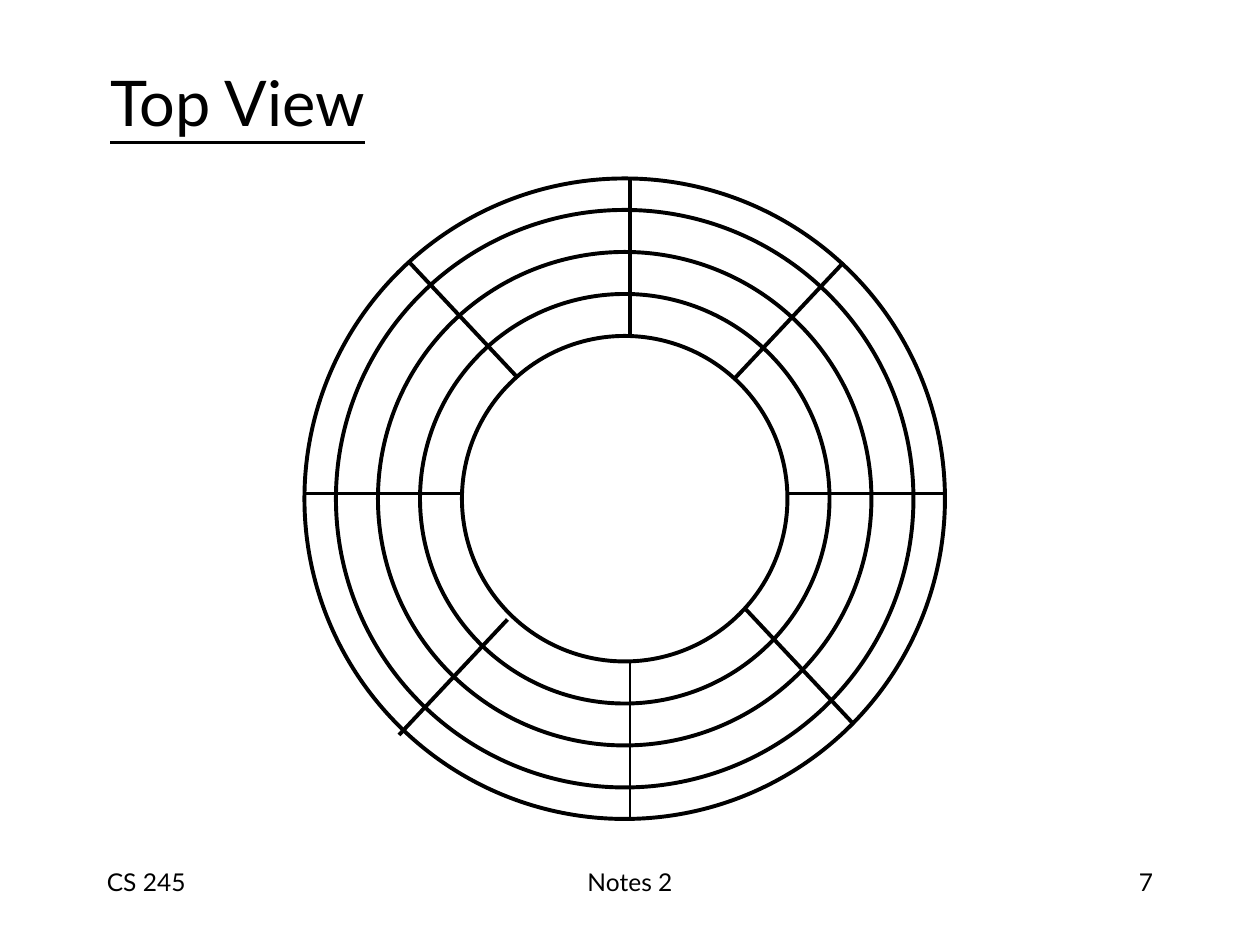
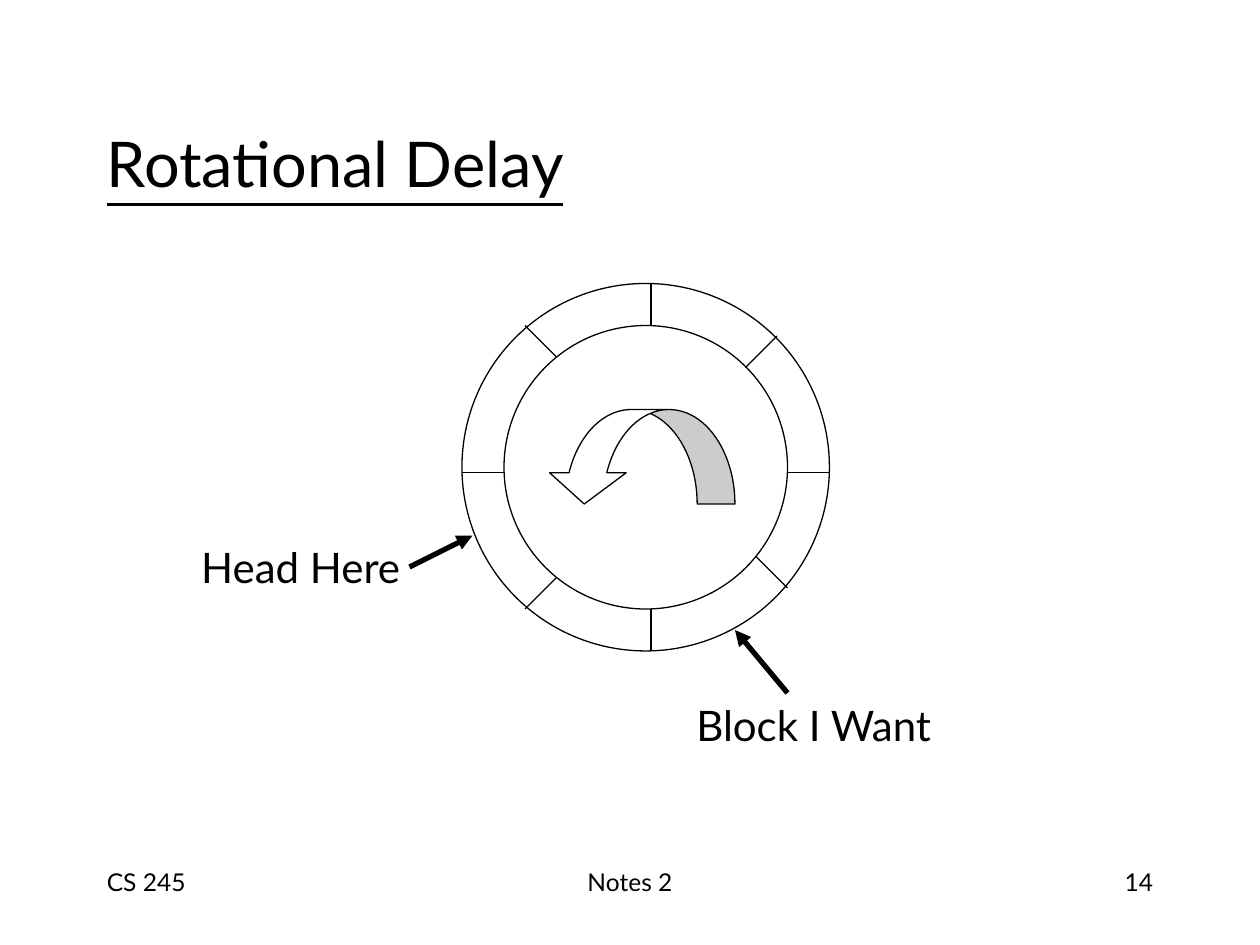
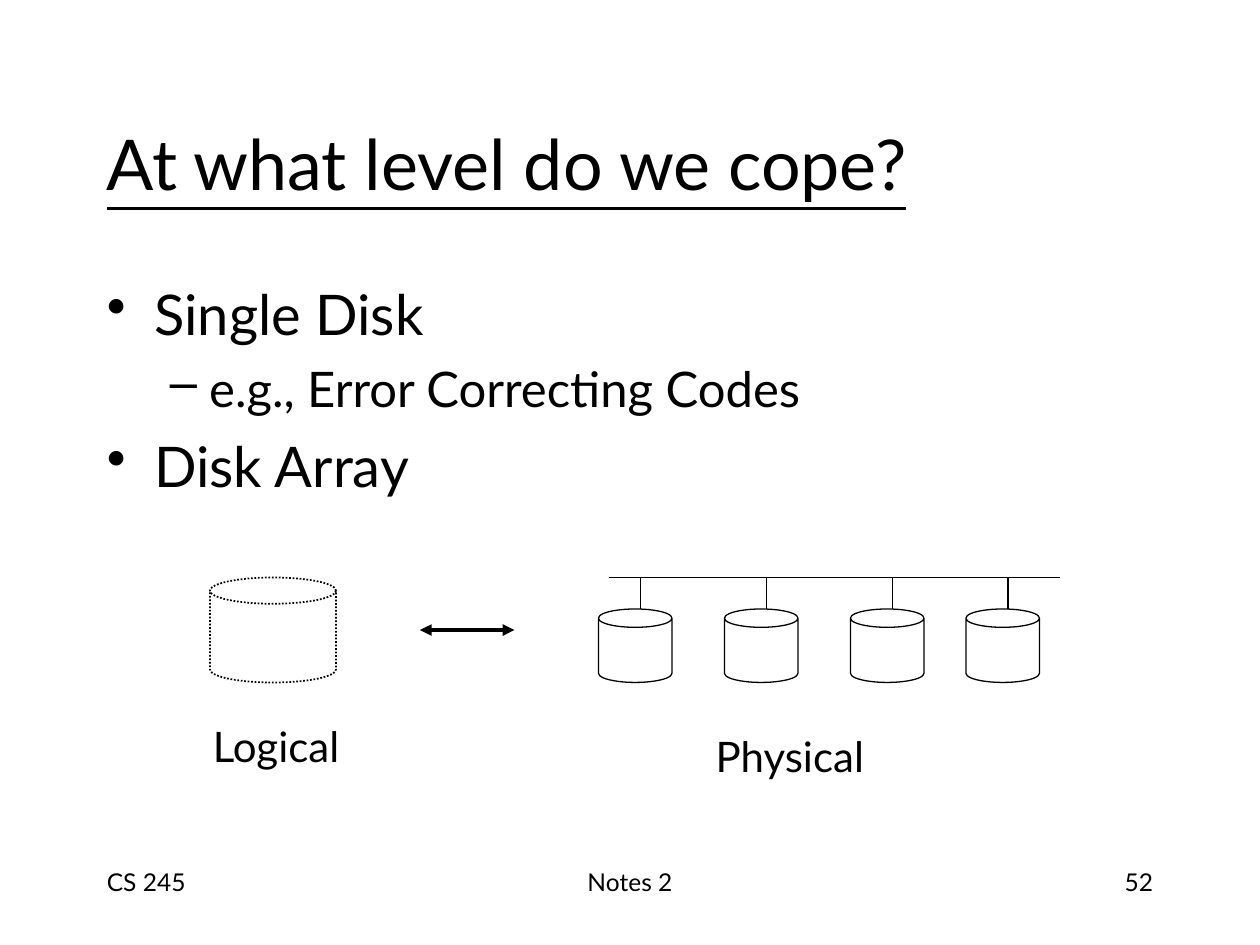
from lxml.etree import SubElement
from pptx import Presentation
from pptx.dml.color import RGBColor
from pptx.enum.dml import MSO_LINE
from pptx.enum.shapes import MSO_CONNECTOR, MSO_SHAPE
from pptx.enum.text import MSO_ANCHOR, PP_ALIGN
from pptx.oxml.ns import qn
from pptx.util import Pt

COLORS = {"ink": "000000", "paper": "FFFFFF"}
FONT = "Lato"
INK = RGBColor.from_string(COLORS["ink"])
PAPER = RGBColor.from_string(COLORS["paper"])
LEFT, CENTER, RIGHT = PP_ALIGN.LEFT, PP_ALIGN.CENTER, PP_ALIGN.RIGHT
TOP, MIDDLE = MSO_ANCHOR.TOP, MSO_ANCHOR.MIDDLE


def add_text(page, frame, lines, align=LEFT, anchor=TOP, wrap=True, underline=False):
    """Add a text box; each line is (text, size, space before, bullet, margin, hanging)."""
    box = page.shapes.add_textbox(*[Pt(length) for length in frame])
    box.text_frame.word_wrap = wrap
    box.text_frame.vertical_anchor = anchor
    for index, (text, size, before, bullet, margin, hanging) in enumerate(lines):
        para = box.text_frame.paragraphs[0] if index == 0 else box.text_frame.add_paragraph()
        para.alignment = align
        para.space_before = Pt(before)
        if bullet:
            properties = para._p.get_or_add_pPr()
            properties.set("marL", str(Pt(margin)))
            properties.set("indent", str(-Pt(hanging)))
            SubElement(properties, qn("a:buChar"), char=bullet)
        span = para.add_run()
        span.text = text
        span.font.name = FONT
        span.font.size = Pt(size)
        span.font.color.rgb = INK
        if underline:
            span.font.underline = True


def add_line(page, ends, width, arrows=()):
    line = page.shapes.add_connector(MSO_CONNECTOR.STRAIGHT, *[Pt(length) for length in ends])
    line.line.color.rgb = INK
    line.line.width = Pt(width)
    for end in arrows:
        SubElement(line.line._get_or_add_ln(), qn(f"a:{end}"), type="triangle")
    SubElement(line._element.spPr, qn("a:effectLst"))


# Top view: concentric tracks cut by spokes
track_shapes = [
    (MSO_SHAPE.OVAL, (357 - size / 2, 285 - size / 2, size, size), 2.25)
    for size in (366, 330, 282, 234, 186)
]
track_spokes = [((360, 468, 360, 378), 0.75, ())] + [
    (ends, 2.25, ())
    for ends in (
        (360, 192, 360, 102), (540, 282, 450, 282), (264, 282, 174, 282),
        (482, 150, 420, 216), (290, 354, 228, 420), (426, 348, 488, 414),
        (234, 150, 296, 216),
    )
]

# Rotational delay: one track, a turning arrow and two pointers
delay_shapes = [
    (MSO_SHAPE.OVAL, (369 - size / 2, 267 - size / 2, size, size), 0.75)
    for size in (210, 162)
]
delay_shapes.append((MSO_SHAPE.CURVED_DOWN_ARROW, (312, 234, 108, 54), 0.75))
delay_lines = [
    (ends, 0.75, ())
    for ends in (
        (372, 162, 372, 186), (372, 348, 372, 372), (450, 270, 474, 270),
        (264, 270, 288, 270), (426, 210, 444, 192), (300, 348, 318, 330),
        (432, 318, 450, 336), (300, 186, 318, 204),
    )
] + [
    ((234, 324, 270, 306), 3, ("tailEnd",)),
    ((450, 396, 420, 360), 3, ("tailEnd",)),
]

# Disk array: one logical disk, four physical disks on a bus
disk_lefts = (342, 414, 486, 552)
disk_shapes = [(MSO_SHAPE.CAN, (left, 348, 42, 42), 0.75) for left in disk_lefts]
disk_shapes.append((MSO_SHAPE.CAN, (120, 330, 72, 60), 1))
disk_lines = [((348, 330, 606, 330), 0.75, ())]
disk_lines += [((left + 24, 330, left + 24, 348), 0.75, ()) for left in disk_lefts]
disk_lines.append(((240, 360, 294, 360), 2.25, ("headEnd", "tailEnd")))

TITLE_FRAME = (54, 48, 612, 90)
# number, title, title size, title frame, shapes, lines, labels
slides = [
    (7, "Top View", 36, (56, 32.5, 167, 50.5), track_shapes, track_spokes, []),
    (14, "Rotational Delay", 36, TITLE_FRAME, delay_shapes, delay_lines, [
        ("Head Here", (104.5, 306, 134.5, 36)),
        ("Block I Want", (387.5, 396, 155, 36)),
    ]),
    (52, "At what level do we cope?", 40, TITLE_FRAME, disk_shapes, disk_lines, [
        ("Logical", (111, 408, 93.5, 36)),
        ("Physical", (399, 414, 104.5, 36)),
    ]),
]

deck = Presentation()
deck.slide_width, deck.slide_height = Pt(720), Pt(540)

for number, title, title_size, title_frame, shapes, lines, labels in slides:
    page = deck.slides.add_slide(deck.slide_layouts[6])
    page.background.fill.solid()
    page.background.fill.fore_color.rgb = PAPER

    for text, left, width, align in (
        ("CS 245", 54, 150, LEFT),
        ("Notes 2", 246, 228, CENTER),
        (str(number), 516, 150, RIGHT),
    ):
        add_text(page, (left, 492, width, 36), [(text, 14, 0, None, 0, 0)], align)
    add_text(page, title_frame, [(title, title_size, 0, None, 0, 0)],
             anchor=MIDDLE, underline=True)

    for kind, frame, width in shapes:
        shape = page.shapes.add_shape(kind, *[Pt(length) for length in frame])
        shape.shadow.inherit = False
        shape.fill.solid()
        shape.fill.fore_color.rgb = PAPER
        shape.line.color.rgb = INK
        shape.line.width = Pt(width)
        if kind == MSO_SHAPE.CURVED_DOWN_ARROW:
            shape.adjustments[0] = 0.4
            shape.adjustments[1] = 0.81
            shape.adjustments[2] = 0.33
            shape._element.spPr.xfrm.set("flipH", "1")
        elif width == 1:
            shape.line.dash_style = MSO_LINE.ROUND_DOT
    for ends, width, arrows in lines:
        add_line(page, ends, width, arrows)
    for text, frame in labels:
        add_text(page, frame, [(text, 24, 0, None, 0, 0)], CENTER, MIDDLE, wrap=False)

add_text(page, (54, 156, 612, 133), [
    ("Single Disk", 32, 0, "•", 27, 27),
    ("e.g., Error Correcting Codes", 28, 7, "–", 58.5, 22.5),
    ("Disk Array", 32, 8, "•", 27, 27),
])

deck.save("out.pptx")
